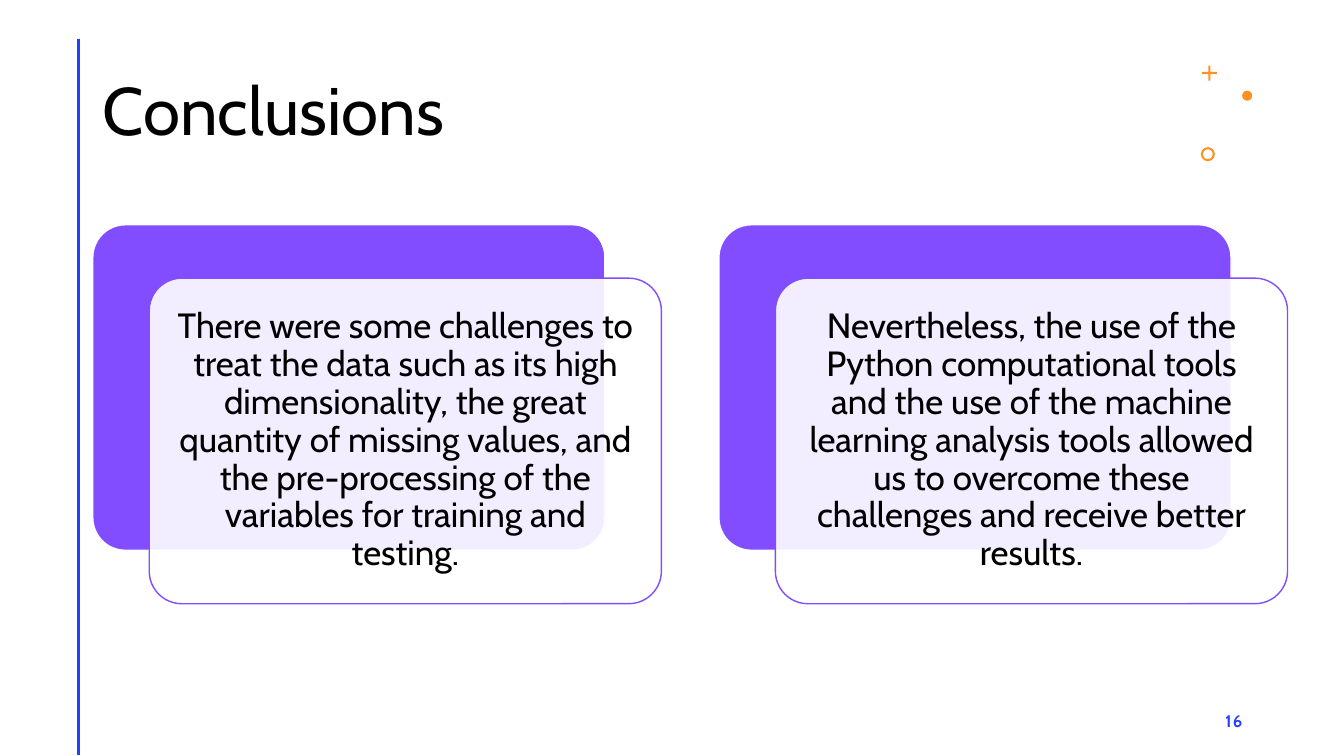
import dataclasses

import pptx
import pptx.dml.color
import pptx.enum.shapes
import pptx.enum.text
import pptx.oxml
import pptx.oxml.ns
import pptx.util

Inches = pptx.util.Inches
Pt = pptx.util.Pt
Shape = pptx.enum.shapes.MSO_SHAPE
Align = pptx.enum.text.PP_ALIGN
Anchor = pptx.enum.text.MSO_ANCHOR


@dataclasses.dataclass(frozen=True)
class Theme:
    font: str = "Cabin"
    text: str = "000000"
    white: str = "FFFFFF"
    purple: str = "814DFF"
    blue: str = "243FFF"
    orange: str = "FF9022"
    title_size: int = 48
    card_size: int = 25
    number_size: int = 12


THEME = Theme()

CONCLUSIONS = [
    "There were some challenges to treat the data such as its high "
    "dimensionality, the great quantity of missing values, and the "
    "pre-processing of the variables for training and testing.",
    "Nevertheless, the use of the Python computational tools and the use of "
    "the machine learning analysis tools allowed us to overcome these "
    "challenges and receive better results.",
]


def rgb(color):
    return pptx.dml.color.RGBColor.from_string(color)


def write(shape, text, size, color, align, line_spacing=1.0, bold=False):
    """Fill a shape with one formatted, vertically centred paragraph."""
    frame = shape.text_frame
    frame.text = text
    frame.word_wrap = True
    frame.auto_size = pptx.enum.text.MSO_AUTO_SIZE.NONE
    frame.vertical_anchor = Anchor.MIDDLE
    para = frame.paragraphs[0]
    para.alignment = align
    para.line_spacing = line_spacing
    span = para.runs[0]
    span.font.name = THEME.font
    span.font.size = Pt(size)
    span.font.bold = bold
    span.font.color.rgb = rgb(color)
    return span


def add_preset(page, kind, left, top, width, height, fill, line=None, adjust=None):
    shape = page.shapes.add_shape(
        kind, Inches(left), Inches(top), Inches(width), Inches(height))
    shape.shadow.inherit = False
    shape.fill.solid()
    shape.fill.fore_color.rgb = rgb(fill)
    if line:
        shape.line.color.rgb = rgb(line)
        shape.line.width = Pt(1)
    else:
        shape.line.fill.background()
    if adjust is not None:
        shape.adjustments[0] = adjust
    return shape


def set_opacity(shape, percent):
    color = shape.fill._xPr.find(".//" + pptx.oxml.ns.qn("a:srgbClr"))
    alpha = pptx.oxml.parse_xml(
        f'<a:alpha {pptx.oxml.ns.nsdecls("a")} val="{percent * 1000}"/>')
    color.append(alpha)


def add_title(page, text):
    title = page.shapes.title
    title.left, title.top = Inches(0.92), Inches(0.4)
    title.width, title.height = Inches(10.76), Inches(1.45)
    write(title, text, THEME.title_size, THEME.text, Align.LEFT, 0.9)


def add_side_rule(page):
    rule = page.shapes.add_connector(
        pptx.enum.shapes.MSO_CONNECTOR.STRAIGHT,
        Inches(0.78), Inches(0.39), Inches(0.78), Inches(7.49))
    rule.line.color.rgb = rgb(THEME.blue)
    rule.line.width = Pt(2)
    rule._element.spPr.append(pptx.oxml.parse_xml(
        f'<a:effectLst {pptx.oxml.ns.nsdecls("a")}/>'))


def add_ornaments(page):
    for kind, left, top, size, adjust in (
        (Shape.CROSS, 11.92, 0.65, 0.15, 0.43),
        (Shape.OVAL, 12.32, 0.9, 0.1, None),
        (Shape.DONUT, 11.91, 1.46, 0.14, 0.15),
    ):
        add_preset(page, kind, left, top, size, size, THEME.orange, adjust=adjust)


def add_card(page, left, top, text):
    """Place a purple card with a lighter text card offset in front of it."""
    width, height = 5.08, 3.23
    add_preset(page, Shape.ROUNDED_RECTANGLE, left, top, width, height,
               THEME.purple, THEME.white, 0.1)
    front = add_preset(page, Shape.ROUNDED_RECTANGLE, left + 0.56, top + 0.53,
                       width, height, THEME.white, THEME.purple, 0.1)
    set_opacity(front, 90)
    frame = front.text_frame
    frame.margin_left = frame.margin_right = Inches(0.1)
    frame.margin_top = frame.margin_bottom = Inches(0.1)
    write(front, text, THEME.card_size, THEME.text, Align.CENTER, 0.9)


def add_page_number(page, number):
    box = page.shapes.add_textbox(
        Inches(9.42), Inches(6.95), Inches(3), Inches(0.4))
    span = write(box, str(number), THEME.number_size, THEME.blue,
                 Align.RIGHT, bold=True)
    span.font._element.set("spc", "100")


def main():
    deck = pptx.Presentation()
    deck.slide_width, deck.slide_height = Inches(13.33), Inches(7.5)
    page = deck.slides.add_slide(deck.slide_layouts.get_by_name("Title Only"))

    # Heading and decoration
    add_title(page, "Conclusions")
    add_side_rule(page)
    add_ornaments(page)
    add_page_number(page, 16)

    # Conclusion cards, evenly spaced
    for index, text in enumerate(CONCLUSIONS):
        add_card(page, 0.92 + index * 6.21, 2.23, text)

    deck.save("out.pptx")


if __name__ == "__main__":
    main()
